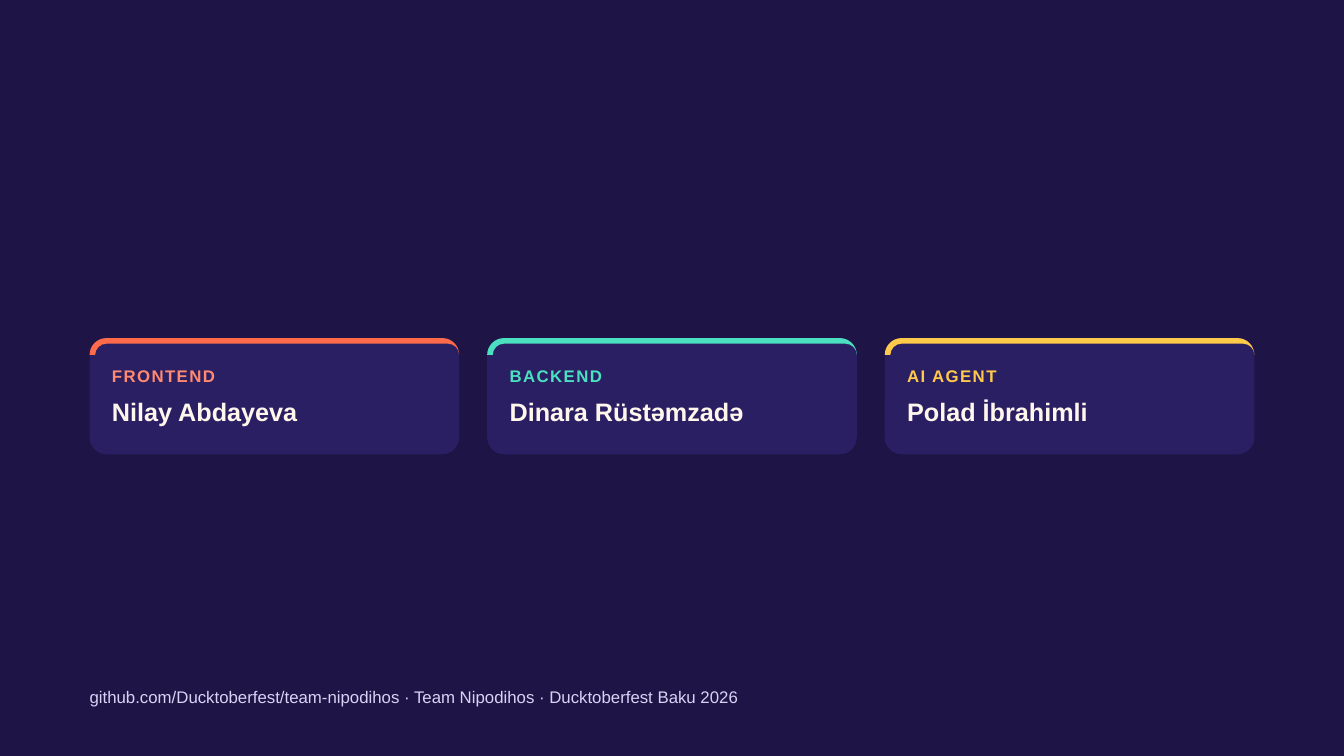
from lxml import etree
from pptx import Presentation
from pptx.dml.color import RGBColor
from pptx.enum.shapes import MSO_SHAPE
from pptx.enum.text import MSO_AUTO_SIZE
from pptx.oxml.ns import qn
from pptx.util import Pt

ROUNDED = MSO_SHAPE.ROUNDED_RECTANGLE
FIT_TEXT = MSO_AUTO_SIZE.SHAPE_TO_FIT_TEXT

NIGHT = RGBColor(0x1E, 0x14, 0x46)
INDIGO = RGBColor(0x2B, 0x1F, 0x63)
CORAL = RGBColor(0xFF, 0x6B, 0x4A)
LIGHT_CORAL = RGBColor(0xFF, 0x8A, 0x70)
MINT = RGBColor(0x4B, 0xE0, 0xC0)
AMBER = RGBColor(0xFF, 0xC9, 0x4A)
CREAM = RGBColor(0xFF, 0xF6, 0xEC)
LAVENDER = RGBColor(0xD9, 0xD2, 0xF5)

MARGIN = 96
CARD_TOP = 362.25
CARD_WIDTH = 396
CARD_HEIGHT = 124.5
CARD_GAP = 30
RADIUS = 18
BAR = 6
PADDING = 24
CURVE = 0.55

TEAM = [
    ("FRONTEND", "Nilay Abdayeva", CORAL, LIGHT_CORAL),
    ("BACKEND", "Dinara Rüstəmzadə", MINT, MINT),
    ("AI AGENT", "Polad İbrahimli", AMBER, AMBER),
]
FOOTER = "github.com/Ducktoberfest/team-nipodihos · Team Nipodihos · Ducktoberfest Baku 2026"


class SlideWriter:
    font_name = "Arial"
    line_ratio = 1.4

    def __init__(self, slide):
        self.slide = slide

    def background(self, color):
        fill = self.slide.background.fill
        fill.solid()
        fill.fore_color.rgb = color

    def paint(self, shape, color):
        shape.shadow.inherit = False
        shape.fill.solid()
        shape.fill.fore_color.rgb = color
        shape.line.fill.background()

    def panel(self, left, top, width, height, color):
        shape = self.slide.shapes.add_shape(ROUNDED, Pt(left), Pt(top), Pt(width), Pt(height))
        shape.adjustments[0] = RADIUS / min(width, height)
        self.paint(shape, color)

    def outline(self, start, segments, color):
        points = [start] + [end for end, corner in segments]
        builder = self.slide.shapes.build_freeform(Pt(start[0]), Pt(start[1]))
        builder.add_line_segments([(Pt(x), Pt(y)) for x, y in points[1:]], close=True)
        shape = builder.convert_to_shape()
        lines = list(shape._element.iter(qn("a:lnTo")))
        for line, begin, (end, corner) in zip(lines, points, segments):
            if corner is None:
                continue
            line.tag = qn("a:cubicBezTo")
            for position, anchor in enumerate((begin, end)):
                x, y = (a + (c - a) * CURVE for a, c in zip(anchor, corner))
                control = etree.Element(qn("a:pt"))
                control.set("x", str(Pt(x) - shape.left))
                control.set("y", str(Pt(y) - shape.top))
                line.insert(position, control)
        self.paint(shape, color)

    def accent(self, left, top, width, color):
        right = left + width
        bottom = top + RADIUS
        inner_top = top + BAR
        inner_left = left + BAR
        segments = [
            ((left + RADIUS, top), (left, top)),
            ((right - RADIUS, top), None),
            ((right, bottom), (right, top)),
            ((right - RADIUS + BAR, inner_top), (right, inner_top)),
            ((left + RADIUS, inner_top), None),
            ((inner_left, bottom), (inner_left, inner_top)),
        ]
        self.outline((left, bottom), segments, color)

    def text(self, left, top, width, height, words, size, color, bold=False, spacing=0):
        box = self.slide.shapes.add_textbox(Pt(left), Pt(top), Pt(width), Pt(height))
        frame = box.text_frame
        frame.word_wrap = True
        frame.auto_size = FIT_TEXT
        frame.margin_left = frame.margin_right = frame.margin_top = frame.margin_bottom = 0
        paragraph = frame.paragraphs[0]
        paragraph.line_spacing = Pt(size * self.line_ratio)
        run = paragraph.add_run()
        run.text = words
        run.font.name = self.font_name
        run.font.size = Pt(size)
        run.font.bold = bold
        run.font.color.rgb = color
        if spacing:
            run._r.get_or_add_rPr().set("spc", str(round(spacing * 100)))

    def card(self, left, role, name, bar_color, role_color):
        self.panel(left, CARD_TOP, CARD_WIDTH, CARD_HEIGHT, INDIGO)
        self.accent(left, CARD_TOP, CARD_WIDTH, bar_color)
        text_left = left + PADDING
        text_width = 358.5
        self.text(text_left, 388.25, text_width, 32, role, 18, role_color, True, 1.5)
        self.text(text_left, 419.5, text_width, 46, name, 27, CREAM, True)


def main():
    presentation = Presentation()
    presentation.slide_width = Pt(1440)
    presentation.slide_height = Pt(810)
    writer = SlideWriter(presentation.slides.add_slide(presentation.slide_layouts[6]))
    writer.background(NIGHT)
    for index, member in enumerate(TEAM):
        writer.card(MARGIN + index * (CARD_WIDTH + CARD_GAP), *member)
    writer.text(MARGIN, 732.25, 1285, 32, FOOTER, 18, LAVENDER)
    presentation.save("out.pptx")


if __name__ == "__main__":
    main()
